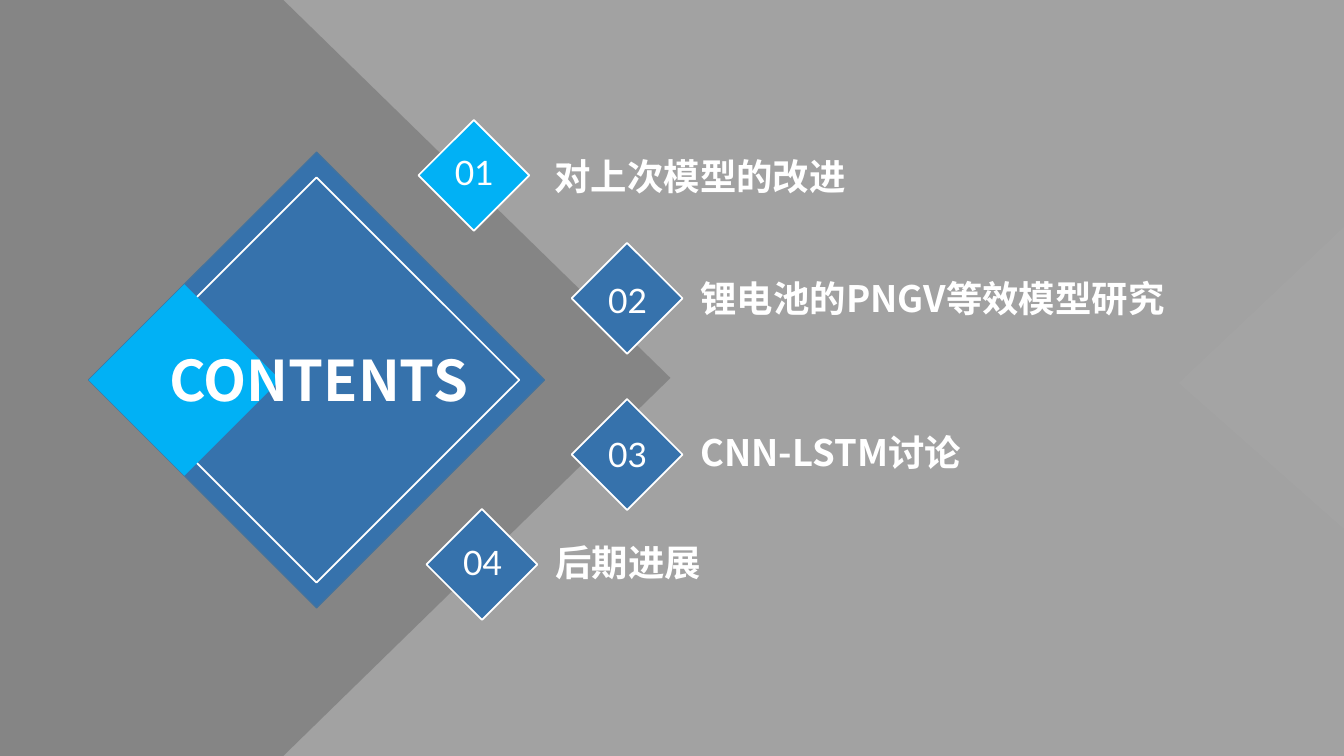
from dataclasses import dataclass

from lxml.etree import SubElement
from pptx import Presentation
from pptx.dml.color import RGBColor
from pptx.enum.shapes import MSO_SHAPE as Preset
from pptx.enum.text import MSO_AUTO_SIZE as AutoSize, PP_ALIGN as Align
from pptx.oxml.ns import qn
from pptx.shapes.autoshape import Shape
from pptx.util import Inches, Pt

WHITE, BLUE, CYAN = "FFFFFF", "3672AC", "01B1F5"
HEADING_FONT, NUMBER_FONT = "Noto Sans CJK SC", "Lato"
WIDTH, HEIGHT = 13.33, 7.5
BADGE_SIZE = 1.1


@dataclass
class Topic:
    number: str
    title: str
    left: float
    top: float
    number_top: float
    title_left: float
    title_top: float
    title_width: float
    color: str = BLUE


TOPICS = [
    Topic("01", "对上次模型的改进", 4.15, 1.19, 1.46, 5.4, 1.48, 4.16, CYAN),
    Topic("02", "锂电池的PNGV等效模型研究", 5.67, 2.41, 2.73, 6.85, 2.69, 4.96),
    Topic("03", "CNN-LSTM讨论", 5.67, 3.96, 4.26, 6.85, 4.22, 3.38),
    Topic("04", "后期进展", 4.23, 5.05, 5.33, 5.41, 5.31, 3.38),
]

deck = Presentation()
deck.slide_width, deck.slide_height = Inches(WIDTH), Inches(HEIGHT)
page = deck.slides.add_slide(deck.slide_layouts[6])


def rgb(color: str) -> RGBColor:
    return RGBColor.from_string(color)


def style(shape: Shape, fill: str | None = None, opacity: int = 100,
          line: str | None = None, line_width: float = 1.25) -> None:
    shape.shadow.inherit = False
    if fill:
        shape.fill.solid()
        shape.fill.fore_color.rgb = rgb(fill)
        if opacity < 100:
            tint = shape._element.spPr.find(qn("a:solidFill"))[0]
            SubElement(tint, qn("a:alpha"), val=str(opacity * 1000))
    else:
        shape.fill.background()
    if line:
        shape.line.color.rgb = rgb(line)
        shape.line.width = Pt(line_width)
    else:
        shape.line.fill.background()


def add_diamond(left: float, top: float, size: float) -> Shape:
    return page.shapes.add_shape(Preset.DIAMOND, Inches(left), Inches(top),
                                 Inches(size), Inches(size))


def add_outline(points: list[tuple[float, float]]) -> Shape:
    start, *rest = [(Inches(x), Inches(y)) for x, y in points]
    builder = page.shapes.build_freeform(*start)
    builder.add_line_segments(rest, close=True)
    return builder.convert_to_shape()


def add_text(text: str, left: float, top: float, width: float, height: float,
             size: int, font_name: str = HEADING_FONT, bold: bool = True,
             wrap: bool = True, align: Align = Align.LEFT) -> None:
    box = page.shapes.add_textbox(Inches(left), Inches(top), Inches(width), Inches(height))
    frame = box.text_frame
    frame.word_wrap = wrap
    frame.auto_size = AutoSize.SHAPE_TO_FIT_TEXT
    para = frame.paragraphs[0]
    para.text = text
    para.alignment = align
    font = para.font
    font.size, font.bold, font.name = Pt(size), bold, font_name
    font.color.rgb = rgb(WHITE)
    # East Asian characters take their typeface from a separate element
    SubElement(font._element, qn("a:ea"), typeface=font_name)


# Backdrop with a large arrow on the left and a faint notch on the right
backdrop = page.shapes.add_shape(Preset.RECTANGLE, 0, 0, deck.slide_width, deck.slide_height)
style(backdrop, "5A5A5A", 56)
arrow = add_outline([(0, 0), (2.81, 0), (6.65, HEIGHT / 2), (2.81, HEIGHT), (0, HEIGHT)])
style(arrow, "7A7A7A", 70)
notch = add_outline([(WIDTH, 5.25), (11.69, 3.8), (WIDTH, 2.25)])
style(notch, "A6A6A6", 61)

# Emblem with the heading
style(add_diamond(0.88, 1.51, 4.52), BLUE, line="43739E", line_width=1)
style(add_diamond(1.13, 1.76, 4.02), line=WHITE)
style(add_diamond(0.88, 2.82, 1.9), CYAN)
add_text("CONTENTS", 1.58, 3.38, 3.37, 0.77, 40)

# Numbered topics
for topic in TOPICS:
    style(add_diamond(topic.left, topic.top, BADGE_SIZE), topic.color, line=WHITE)
    add_text(topic.number, topic.left + 0.26, topic.number_top, 0.59, 0.5, 24,
             NUMBER_FONT, bold=False, wrap=False, align=Align.CENTER)
    add_text(topic.title, topic.title_left, topic.title_top, topic.title_width, 0.54, 26)

deck.save("out.pptx")
